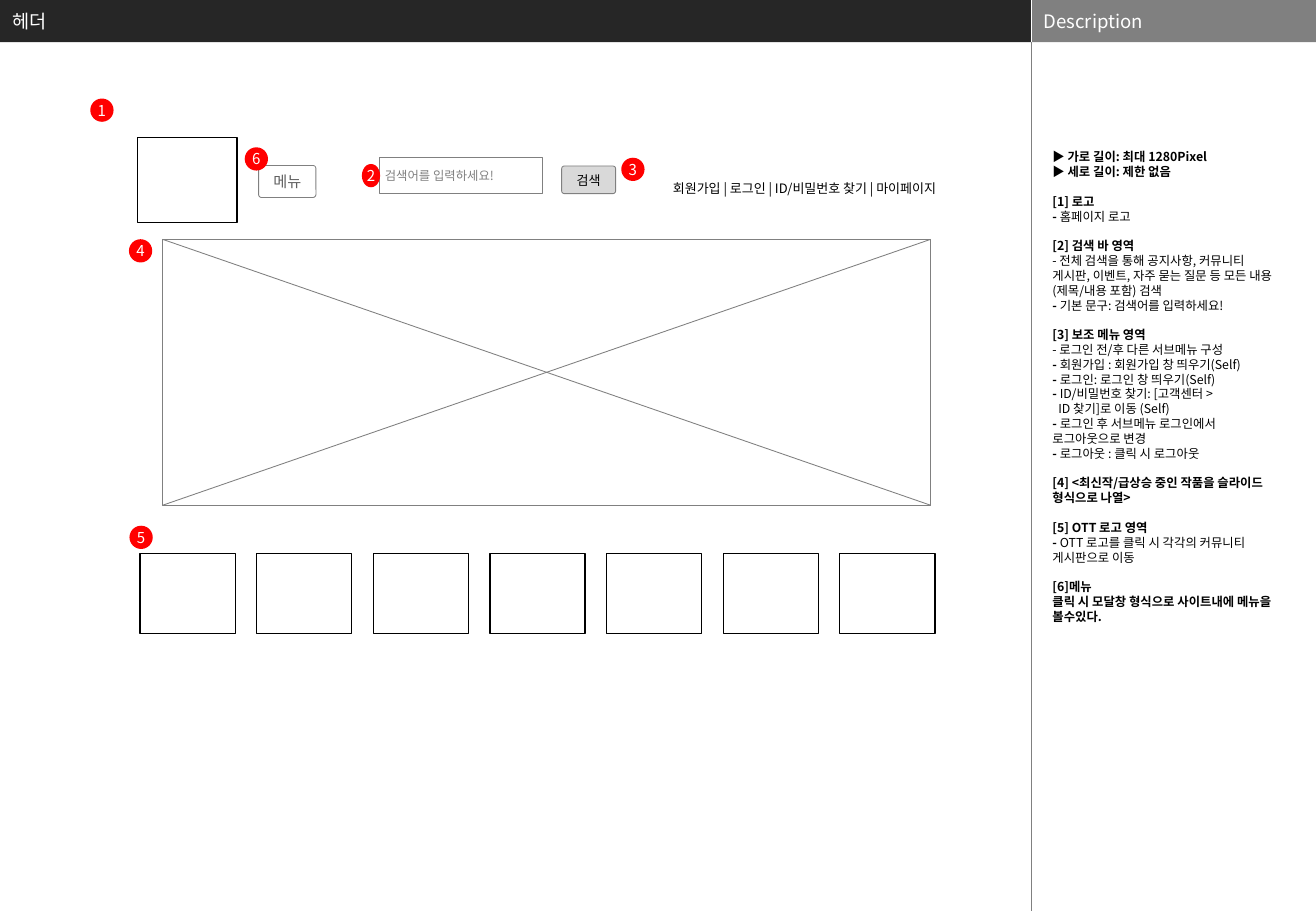
from lxml.etree import SubElement
from pptx import Presentation
from pptx.dml.color import RGBColor
from pptx.enum.shapes import MSO_CONNECTOR, MSO_SHAPE
from pptx.enum.text import MSO_ANCHOR, PP_ALIGN
from pptx.oxml.ns import qn
from pptx.util import Pt

COLORS = {
    "black": "000000", "white": "FFFFFF", "header": "262626", "gray": "808080",
    "button": "D9D9D9", "menu": "5F5F5F", "badge": "FF0000",
}
FONT = "Noto Sans CJK KR"

prs = Presentation()
prs.slide_width, prs.slide_height = Pt(779.76), Pt(540)
slide = prs.slides.add_slide(prs.slide_layouts[5])
shapes = slide.shapes


def format_text(shape, size, color, align=PP_ALIGN.LEFT, margins=(7.2, 3.6),
                font=FONT, wrap=True, anchor=MSO_ANCHOR.MIDDLE):
    frame = shape.text_frame
    frame.word_wrap = wrap
    frame.vertical_anchor = anchor
    frame.margin_left = frame.margin_right = Pt(margins[0])
    frame.margin_top = frame.margin_bottom = Pt(margins[1])
    for paragraph in frame.paragraphs:
        paragraph.alignment = align
        for run in paragraph.runs:
            run.font.size = Pt(size)
            run.font.name = font
            run.font.color.rgb = RGBColor.from_string(COLORS[color])
            SubElement(run.font._element, qn("a:ea"), typeface=font)


def add_box(kind, bounds, fill=None, line=None, width=0.5, text=""):
    box = shapes.add_shape(kind, *[Pt(value) for value in bounds])
    box.shadow.inherit = False
    if fill:
        box.fill.solid()
        box.fill.fore_color.rgb = RGBColor.from_string(COLORS[fill])
    else:
        box.fill.background()
    if line:
        box.line.color.rgb = RGBColor.from_string(COLORS[line])
        box.line.width = Pt(width)
    else:
        box.line.fill.background()
    box.text_frame.text = text
    return box


# Header bars
title = shapes.title
title.left, title.top, title.width, title.height = Pt(0), Pt(0), Pt(611.3), Pt(25)
title.fill.solid()
title.fill.fore_color.rgb = RGBColor.from_string(COLORS["header"])
title.text_frame.text = "헤더"
format_text(title, 11, "white")
description_bar = add_box(MSO_SHAPE.RECTANGLE, (611.3, 0, 168.46, 25), "gray",
                          text="Description")
format_text(description_bar, 11, "white")

# Logo, search and menu
add_box(MSO_SHAPE.RECTANGLE, (81.4, 81.4, 59, 50.6), "white", "black", 0.75)
search_field = add_box(MSO_SHAPE.RECTANGLE, (225, 93.3, 96.5, 21.5), None, "gray",
                       text="검색어를 입력하세요!")
format_text(search_field, 7.3, "gray", margins=(3, 3))
search_button = add_box(MSO_SHAPE.ROUNDED_RECTANGLE, (332.8, 98.4, 32, 16.4),
                        "button", "gray", text="검색")
search_button.adjustments[0] = 0.1
format_text(search_button, 7.7, "black", PP_ALIGN.CENTER, (3, 3))
menu_button = add_box(MSO_SHAPE.ROUNDED_RECTANGLE, (153.2, 98.1, 34, 19),
                      "white", "gray", text="메뉴")
menu_button.adjustments[0] = 0.09
format_text(menu_button, 9, "menu", PP_ALIGN.CENTER, font="Cabin", wrap=False)

# Account links
account_links = shapes.add_textbox(Pt(365.8), Pt(98.6), Pt(195.8), Pt(19.4))
account_links.text_frame.text = "회원가입 | 로그인 | ID/비밀번호 찾기 | 마이페이지"
format_text(account_links, 7.7, "black", PP_ALIGN.RIGHT, anchor=MSO_ANCHOR.TOP)
account_links.text_frame.paragraphs[0].line_spacing = 1.5

# Slide banner
left, top, right, bottom = 96.4, 141.9, 551.4, 299.5
add_box(MSO_SHAPE.RECTANGLE, (left, top, right - left, bottom - top), "white", "gray")

# Banner diagonals and column dividers
for x1, y1, x2, y2, color, width in [
    (left, bottom, right, top, "gray", 0.5),
    (left, top, right, bottom, "gray", 0.5),
    (611.3, 0, 611.3, 25, "white", 0.25),
    (611.3, 25, 611.3, 540, "gray", 0.25),
]:
    rule = shapes.add_connector(MSO_CONNECTOR.STRAIGHT, Pt(x1), Pt(y1), Pt(x2), Pt(y2))
    rule.line.color.rgb = RGBColor.from_string(COLORS[color])
    rule.line.width = Pt(width)
    SubElement(rule._element.spPr, qn("a:effectLst"))

# OTT logo row
for column in range(7):
    add_box(MSO_SHAPE.RECTANGLE, (83 + column * 69.1, 328.1, 56.4, 47.4),
            "white", "black", 0.75)

# Numbered badges
for number, x, y, width in [
    (1, 53.5, 58.4, 13.8), (2, 214.4, 97.2, 10.8), (3, 368.1, 93.5, 13.8),
    (4, 76.4, 141.8, 13.8), (5, 76.7, 311.6, 13.8), (6, 145, 87.3, 13.8),
]:
    badge = add_box(MSO_SHAPE.OVAL, (x, y, width, 13.8), "badge", text=str(number))
    format_text(badge, 8.9, "white", PP_ALIGN.CENTER, (0, 0), wrap=False)

# Description: blocks of lines, each with a bold and a regular part
blocks = [
    [("▶ 가로 길이: 최대 1280Pixel", ""), ("▶ 세로 길이: 제한 없음", "")],
    [("[1] 로고", ""), ("- ", "홈페이지 로고")],
    [("[2] 검색 바 영역", ""),
     ("", "- 전체 검색을 통해 공지사항, 커뮤니티 게시판, 이벤트, 자주 묻는 질문 등 "
          "모든 내용(제목/내용 포함) 검색"),
     ("- ", "기본 문구: 검색어를 입력하세요!")],
    [("[3] 보조 메뉴 영역", ""),
     ("", "- 로그인 전/후 다른 서브메뉴 구성"),
     ("- ", "회원가입 : 회원가입 창 띄우기(Self)"),
     ("- ", "로그인: 로그인 창 띄우기(Self)"),
     ("- ", "ID/비밀번호 찾기: [고객센터 >"),
     ("", "ID 찾기]로 이동 (Self)"),
     ("- ", "로그인 후 서브메뉴 로그인에서 로그아웃으로 변경"),
     ("- ", "로그아웃 : 클릭 시 로그아웃")],
    [("[4] <최신작/급상승 중인 작품을 슬라이드 형식으로 나열>", "")],
    [("[5] OTT 로고 영역", ""),
     ("- ", "OTT 로고를 클릭 시 각각의 커뮤니티 게시판으로 이동")],
    [("[6]메뉴", ""), ("클릭 시 모달창 형식으로 사이트내에 메뉴을 볼수있다.", "")],
]
LINE = 8.8
description = shapes.add_textbox(Pt(621.4), Pt(88.6), Pt(136.8), Pt(409.6))
paragraph = description.text_frame.paragraphs[0]
for block_index, block in enumerate(blocks):
    for line_index, parts in enumerate(block):
        if block_index or line_index:
            paragraph = description.text_frame.add_paragraph()
        paragraph.line_spacing = Pt(LINE)
        paragraph.space_before = Pt(LINE if block_index and not line_index else 0)
        for text, bold in zip(parts, (True, False)):
            if text:
                run = paragraph.add_run()
                run.text = text
                run.font.bold = bold
        if parts[1].startswith("ID 찾기]"):
            paragraph._p.get_or_add_pPr().set("marL", str(Pt(3.5)))
format_text(description, 7.3, "black", margins=(2.2, 0), anchor=MSO_ANCHOR.TOP)

prs.save("out.pptx")
